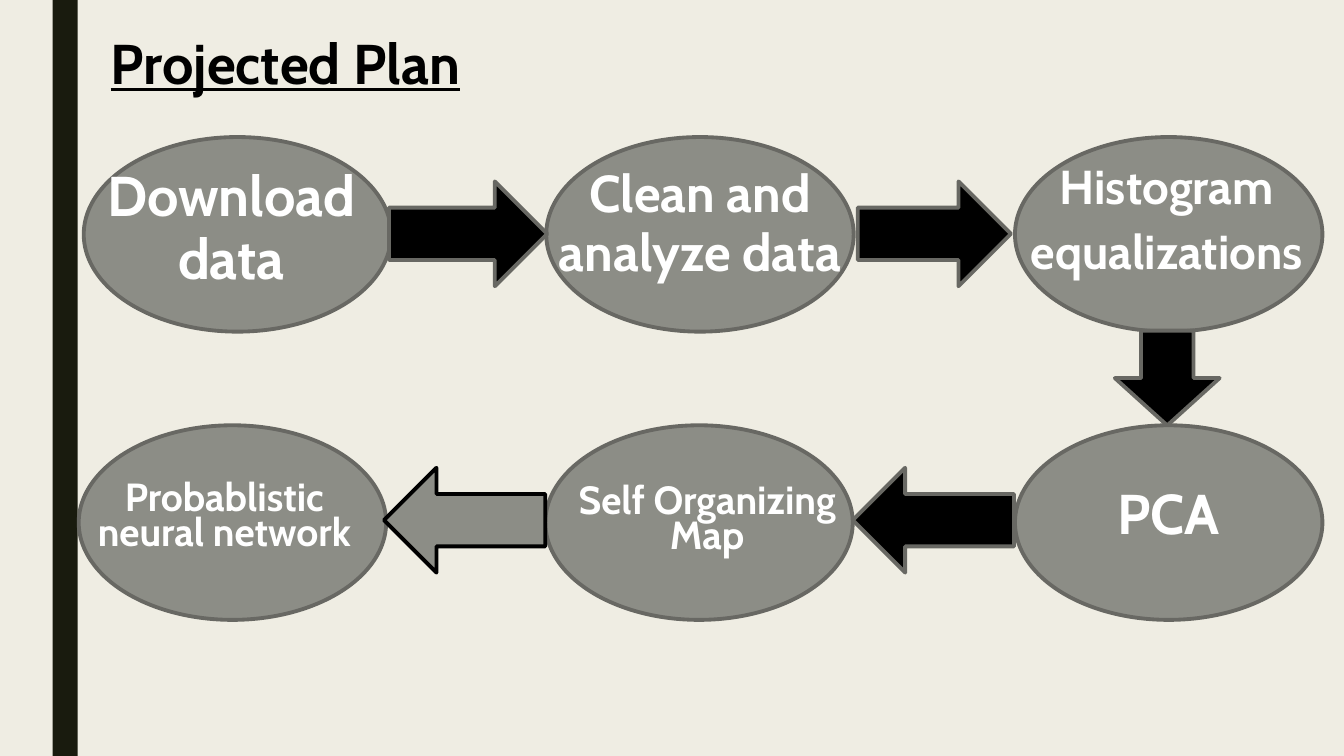
from dataclasses import dataclass

from pptx import Presentation
from pptx.dml.color import RGBColor
from pptx.enum import shapes, text
from pptx.util import Pt

FONT = "Cabin"
GREY, EDGE, BLACK, WHITE = "8C8D86", "686863", "000000", "FFFFFF"
OVAL_WIDTH, OVAL_HEIGHT = 219.6, 139
ARROW_HEIGHT = 74.9
TOP_ROW, BOTTOM_ROW = 97.9, 303.8


@dataclass
class Stage:
    left: float
    top: float
    caption: str
    caption_left: float
    caption_top: float
    caption_height: float
    size: float
    spacing: float


@dataclass
class Arrow:
    left: float
    top: float
    width: float
    rotation: float = 0
    fill: str = BLACK
    line: str = EDGE


STAGES = [
    Stage(59.8, TOP_ROW, "Download data", 55.4, 115.2, 103.7, 40, 0.94),
    Stage(390.2, TOP_ROW, "Clean and analyze data", 390.2, 115.2, 103.7, 37, 0.94),
    Stage(725, TOP_ROW, "Histogram\nequalizations", 723.6, 115.2, 103.7, 34, 0.84),
    Stage(725, BOTTOM_ROW, "PCA", 725, 342, 58.3, 40, 0.94),
    Stage(389.5, BOTTOM_ROW, "Self Organizing Map", 395.3, 344.2, 58.3, 28, 0.74),
    Stage(56.2, BOTTOM_ROW, "Probablistic neural network", 50.4, 342, 58.3, 28, 0.74),
]

ARROWS = [
    Arrow(277.9, 129.6, 113),
    Arrow(612.7, 129.6, 109.4),
    Arrow(799.9, 232.6, 67.7, 90),
    Arrow(609.1, 334.1, 115.2, 180),
    Arrow(274.3, 334.1, 115.2, 180, GREY, BLACK),
]


def color(value: str) -> RGBColor:
    return RGBColor.from_string(value)


def add_block(page, kind, left: float, top: float, width: float, height: float,
              fill: str, line: str | None = None):
    block = page.shapes.add_shape(kind, Pt(left), Pt(top), Pt(width), Pt(height))
    block.shadow.inherit = False
    block.fill.solid()
    block.fill.fore_color.rgb = color(fill)
    if line:
        block.line.color.rgb = color(line)
        block.line.width = Pt(2.75)
    else:
        block.line.fill.background()
    return block


def add_text(page, words: str, left: float, top: float, width: float, height: float,
             size: float, ink: str):
    box = page.shapes.add_textbox(Pt(left), Pt(top), Pt(width), Pt(height))
    frame = box.text_frame
    frame.word_wrap = True
    frame.text = words
    for para in frame.paragraphs:
        for span in para.runs:
            span.font.name = FONT
            span.font.size = Pt(size)
            span.font.bold = True
            span.font.color.rgb = color(ink)
    return frame


def add_oval(page, stage: Stage) -> None:
    add_block(page, shapes.MSO_SHAPE.OVAL, stage.left, stage.top,
              OVAL_WIDTH, OVAL_HEIGHT, GREY, EDGE)


def add_arrow(page, arrow: Arrow) -> None:
    block = add_block(page, shapes.MSO_SHAPE.RIGHT_ARROW, arrow.left, arrow.top,
                      arrow.width, ARROW_HEIGHT, arrow.fill, arrow.line)
    block.rotation = arrow.rotation


def add_caption(page, stage: Stage) -> None:
    frame = add_text(page, stage.caption, stage.caption_left, stage.caption_top,
                     OVAL_WIDTH, stage.caption_height, stage.size, WHITE)
    for index, para in enumerate(frame.paragraphs):
        para.alignment = text.PP_ALIGN.CENTER
        para.line_spacing = stage.spacing
        para.space_before = Pt(10 if index else 0)
        para.space_after = Pt(2)


def main() -> None:
    deck = Presentation()
    deck.slide_width, deck.slide_height = Pt(960), Pt(540)
    page = deck.slides.add_slide(deck.slide_layouts[6])
    page.background.fill.solid()
    page.background.fill.fore_color.rgb = color("EFEDE3")

    add_block(page, shapes.MSO_SHAPE.RECTANGLE, 37.5, 0, 18, 540, "191B0E")
    for stage in STAGES:
        add_oval(page, stage)
    for arrow in ARROWS:
        add_arrow(page, arrow)
    for stage in STAGES:
        add_caption(page, stage)

    title = add_text(page, "Projected Plan", 72, 16.6, 265, 55.4, 40, BLACK)
    title.paragraphs[0].runs[0].font.underline = True

    deck.save("out.pptx")


if __name__ == "__main__":
    main()
